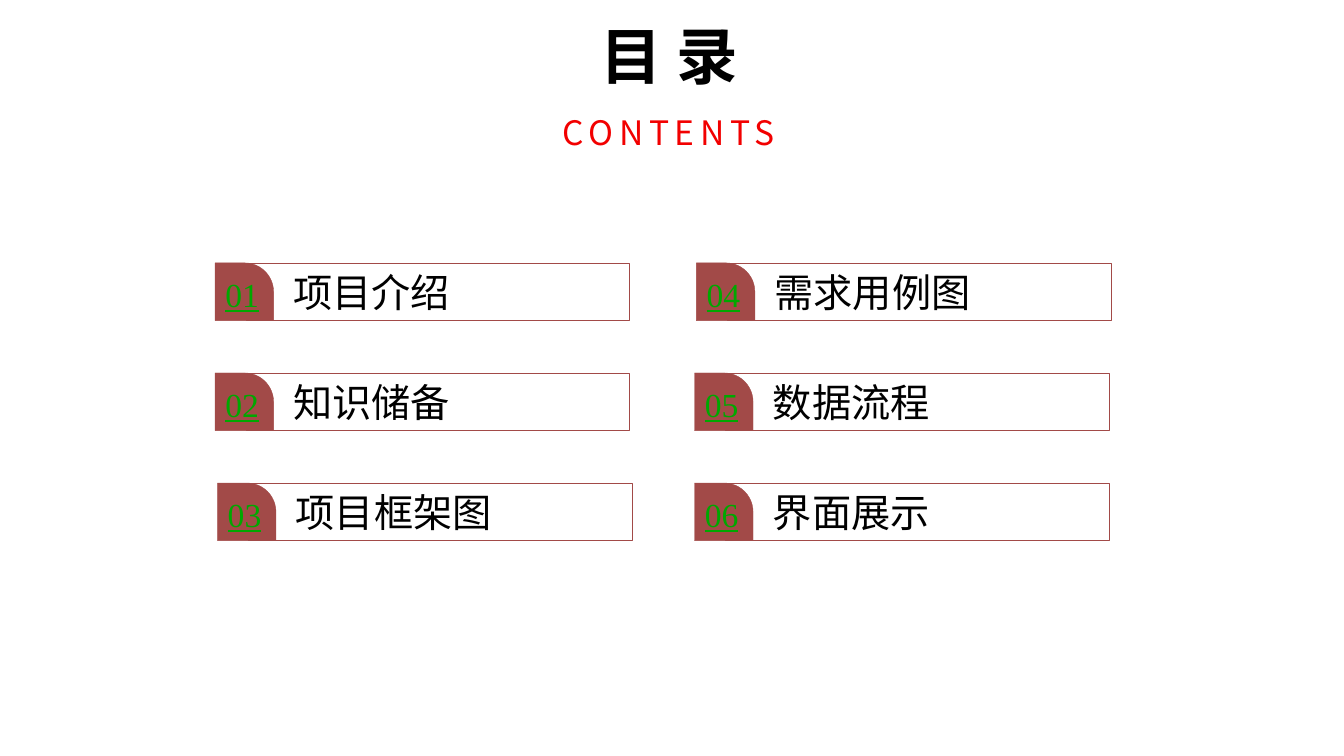
import pptx
import pptx.util
import pptx.dml.color
import pptx.enum.shapes
import pptx.enum.text
import pptx.oxml.ns
from lxml import etree

Pt = pptx.util.Pt
RGBColor = pptx.dml.color.RGBColor
SHAPE = pptx.enum.shapes.MSO_SHAPE
ALIGN = pptx.enum.text.PP_ALIGN
ANCHOR = pptx.enum.text.MSO_ANCHOR
AUTO_SIZE = pptx.enum.text.MSO_AUTO_SIZE

BLACK = RGBColor(0x00, 0x00, 0x00)
RED = RGBColor(0xF2, 0x00, 0x00)
BRICK = RGBColor(0xA2, 0x4A, 0x48)
GREEN = RGBColor(0x00, 0xA8, 0x00)
CJK = "Noto Sans CJK SC"

TOP, PITCH, HEIGHT = 187.8, 78.6, 41.2
TAB_WIDTH, BAR_OFFSET, BAR_WIDTH = 41.8, 22.2, 273.8

ENTRIES = [
    [(153.6, "项目介绍", "Arial"), (153.6, "知识储备", "Arial"), (155.3, "项目框架图", CJK)],
    [(497.4, "需求用例图", CJK), (496.1, "数据流程", CJK), (496.1, "界面展示", CJK)],
]


def set_format(target, values):
    for name, value in values.items():
        setattr(target, name, value)


def write(tf, text, color, font, align=ALIGN.LEFT):
    p = tf.paragraphs[0]
    p.alignment = align
    r = p.add_run()
    r.text = text
    set_format(r.font, font)
    r.font.color.rgb = color
    rpr = r.font._element
    etree.SubElement(rpr, pptx.oxml.ns.qn("a:ea")).set("typeface", CJK)
    return p, rpr


def add_heading(s, box, text, color, font, wrap, line_spacing=1.0, tracking=0):
    tf = s.shapes.add_textbox(*map(Pt, box)).text_frame
    set_format(tf, {"word_wrap": wrap, "auto_size": AUTO_SIZE.SHAPE_TO_FIT_TEXT})
    p, rpr = write(tf, text, color, font, ALIGN.CENTER)
    p.line_spacing = line_spacing
    if tracking:
        rpr.set("spc", str(tracking * 100))


def add_box(s, kind, left, top, width, margin_left, margin_top):
    sp = s.shapes.add_shape(kind, Pt(left), Pt(top), Pt(width), Pt(HEIGHT))
    sp.shadow.inherit = False
    sp.fill.background()
    sp.line.color.rgb = BRICK
    sp.line.width = Pt(0.25)
    set_format(sp.text_frame, {
        "margin_left": Pt(margin_left), "margin_top": Pt(margin_top),
        "margin_right": 0, "margin_bottom": 0,
        "vertical_anchor": ANCHOR.MIDDLE, "word_wrap": True,
    })
    return sp


def add_entry(s, left, top, number, title, font_name):
    bar = add_box(s, SHAPE.RECTANGLE, left + BAR_OFFSET, top, BAR_WIDTH, 33.8, 0)
    write(bar.text_frame, title, BLACK, {"name": font_name, "size": Pt(28)})

    tab = add_box(s, SHAPE.ROUND_1_RECTANGLE, left, top, TAB_WIDTH, 2.9, 2.9)
    tab.adjustments[0] = 0.5
    tab.fill.solid()
    tab.fill.fore_color.rgb = BRICK
    write(tab.text_frame, f"{number:02}", GREEN,
          {"name": "Times New Roman", "size": Pt(24), "underline": True}, ALIGN.CENTER)


def main():
    prs = pptx.Presentation()
    set_format(prs, {"slide_width": Pt(960), "slide_height": Pt(540)})
    s = prs.slides.add_slide(prs.slide_layouts[6])

    add_heading(s, (390.2, 76.3, 175, 38.2), "CONTENTS", RED,
                {"name": CJK, "size": Pt(24)}, wrap=False, tracking=4)
    add_heading(s, (414, 4.3, 128.2, 65.5), "目 录", BLACK,
                {"name": "Arial", "size": Pt(44), "bold": True}, wrap=True, line_spacing=1.1)

    for col, entries in enumerate(ENTRIES):
        for row, (left, title, font_name) in enumerate(entries):
            number = col * len(entries) + row + 1
            add_entry(s, left, TOP + row * PITCH, number, title, font_name)

    prs.save("out.pptx")


if __name__ == "__main__":
    main()
